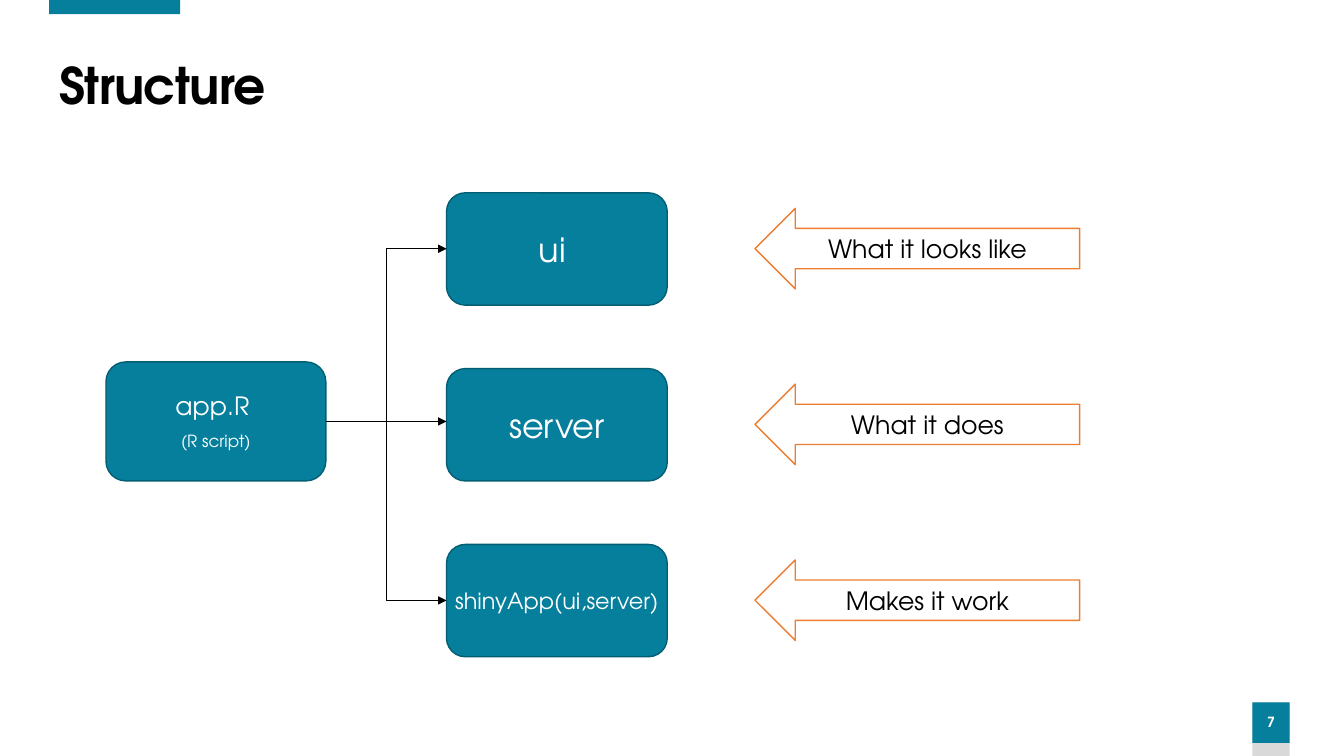
from lxml import etree
from pptx import Presentation
from pptx import util as u
from pptx.dml.color import RGBColor
from pptx.enum import shapes, text
from pptx.oxml.ns import qn

COLORS = {
    "teal": "067F9C", "edge": "045E73", "gray": "D9D9D9",
    "orange": "ED7D31", "black": "000000", "white": "FFFFFF",
}
KIND = shapes.MSO_SHAPE
LINK = shapes.MSO_CONNECTOR


def color(name):
    return RGBColor.from_string(COLORS[name])


def write(frame, *lines, hue="white", align=text.PP_ALIGN.CENTER,
          anchor=text.MSO_ANCHOR.MIDDLE, wrap=True, bold=False,
          space=1.0, track=0, inset=None):
    frame.word_wrap = wrap
    frame.vertical_anchor = anchor
    if inset is not None:
        frame.margin_top = u.Cm(inset)
    for i, (words, size) in enumerate(lines):
        para = frame.add_paragraph() if i else frame.paragraphs[0]
        para.alignment = align
        para.line_spacing = space
        run = para.add_run()
        run.text = words
        run.font.name = "TeX Gyre Adventor"
        run.font.size = u.Pt(size)
        run.font.bold = bold
        run.font.color.rgb = color(hue)
        if track:
            run.font._element.set("spc", str(track))


class Deck:
    def __init__(self):
        self.file = Presentation()
        self.file.slide_width = u.Inches(13.33)
        self.file.slide_height = u.Inches(7.5)
        self.slide = self.file.slides.add_slide(self.file.slide_layouts[6])

    def shape(self, kind, x, y, w, h, fill, edge=None):
        item = self.slide.shapes.add_shape(kind, *map(u.Cm, (x, y, w, h)))
        item.shadow.inherit = False
        item.fill.solid()
        item.fill.fore_color.rgb = color(fill)
        if edge:
            item.line.color.rgb = color(edge)
            item.line.width = u.Pt(1)
        else:
            item.line.fill.background()
        return item.text_frame

    def label(self, x, y, w, h):
        return self.slide.shapes.add_textbox(*map(u.Cm, (x, y, w, h))).text_frame

    def link(self, kind, *ends):
        item = self.slide.shapes.add_connector(kind, *map(u.Cm, ends))
        item.line.color.rgb = color("black")
        item.line.width = u.Pt(0.5)
        tail = etree.SubElement(item.line._get_or_add_ln(), qn("a:tailEnd"))
        tail.set("type", "triangle")
        etree.SubElement(item._element.spPr, qn("a:effectLst"))


def main():
    deck = Deck()
    deck.shape(KIND.RECTANGLE, 31.55, 17.7, 0.94, 1.35, "gray")
    page = deck.shape(KIND.RECTANGLE, 31.55, 17.7, 0.94, 1.02, "teal")
    page.margin_left = page.margin_right = 0
    write(page, ("7", 10), bold=True, space=0.9)
    deck.shape(KIND.RECTANGLE, 1.24, 0, 3.3, 0.36, "teal")
    write(deck.label(1.24, 1.4, 31.04, 1.65), ("Structure", 36), hue="black",
          align=text.PP_ALIGN.LEFT, bold=True, space=0.9, track=-60)

    app = deck.shape(KIND.ROUNDED_RECTANGLE, 2.67, 9.12, 5.54, 3, "teal", "edge")
    write(app, ("app.R ", 18), ("(R script)", 12), space=1.5,
          anchor=text.MSO_ANCHOR.TOP, inset=0.18)

    root, mid, pitch = 10.62, 10.7, 4.43
    parts = [
        ("ui ", 24, "What it looks like", LINK.ELBOW),
        ("server", 24, "What it does", LINK.STRAIGHT),
        ("shinyApp(ui,server)", 16, "Makes it work", LINK.ELBOW),
    ]
    for row, (name, size, role, kind) in enumerate(parts, -1):
        y = mid + row * pitch
        box = deck.shape(KIND.ROUNDED_RECTANGLE, 11.25, y - 1.41, 5.56, 2.83,
                         "teal", "edge")
        write(box, (name, size), wrap=False)
        arrow = deck.shape(KIND.LEFT_ARROW, 19.02, y - 1.02, 8.18, 2.03,
                           "white", "orange")
        write(arrow, (role, 18), hue="black")
        deck.link(kind, 8.21, root, 11.25, y if row else root)

    deck.file.save("out.pptx")


if __name__ == "__main__":
    main()
